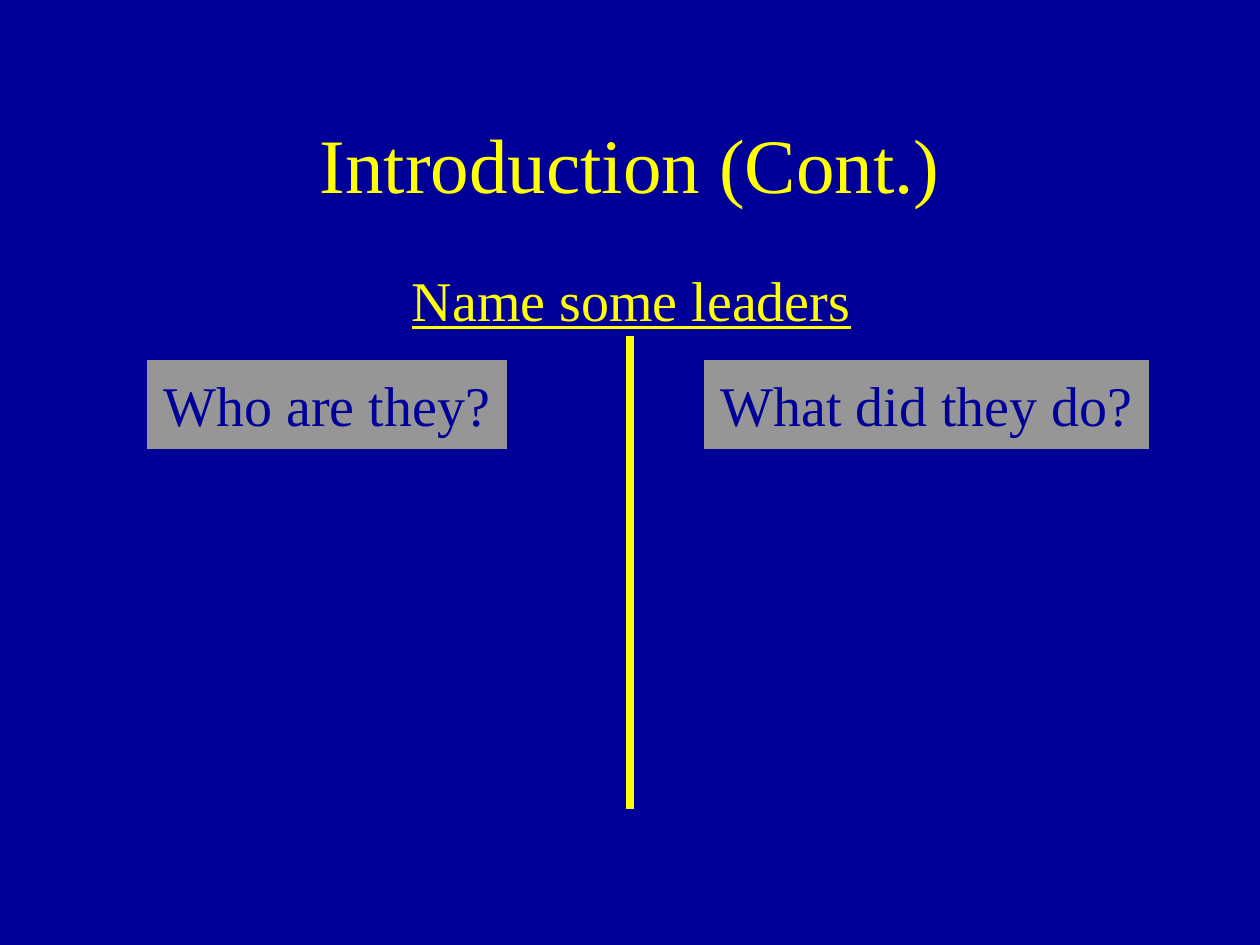
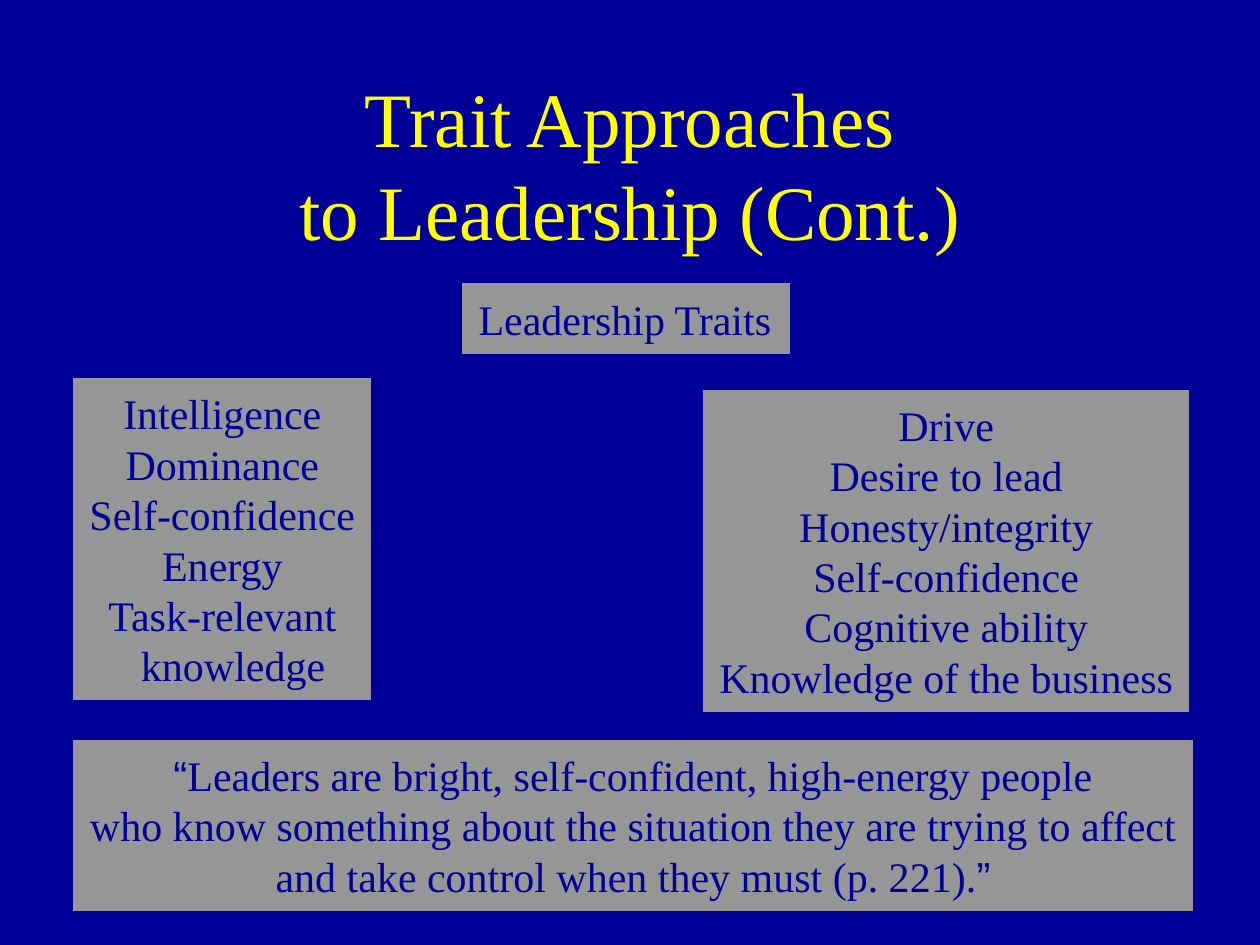
from dataclasses import dataclass
from itertools import groupby
from typing import Any

from lxml import etree
from pptx import Presentation
from pptx.dml.color import RGBColor
from pptx.enum.shapes import MSO_CONNECTOR, MSO_SHAPE
from pptx.enum.text import MSO_ANCHOR, MSO_AUTO_SIZE, PP_ALIGN
from pptx.oxml.ns import qn
from pptx.util import Inches, Pt

NAVY = RGBColor(0x00, 0x00, 0x99)
YELLOW = RGBColor(0xFF, 0xFF, 0x00)
GRAY = RGBColor(0x96, 0x96, 0x96)

BODY_FONT = "Times New Roman"
QUOTE_FONT = "Arial"
QUOTE_MARKS = "“”"

CENTER = PP_ALIGN.CENTER
LEFT = PP_ALIGN.LEFT
RECTANGLE = MSO_SHAPE.RECTANGLE
STRAIGHT = MSO_CONNECTOR.STRAIGHT
TITLE_ONLY = 5

TITLE_PLACE = {
    "left": Inches(0.75),
    "top": Inches(0.67),
    "width": Inches(8.5),
    "height": Inches(1.25),
}
FRAME = {
    "margin_left": Inches(0.1),
    "margin_right": Inches(0.1),
    "margin_top": Inches(0.05),
    "margin_bottom": Inches(0.05),
    "auto_size": MSO_AUTO_SIZE.NONE,
    "word_wrap": True,
}
TITLE_FRAME = FRAME | {"vertical_anchor": MSO_ANCHOR.MIDDLE}
TOP_FRAME = FRAME | {"vertical_anchor": MSO_ANCHOR.TOP}
BOX_FRAMES = {
    LEFT: TOP_FRAME | {"margin_right": Inches(0)},
    CENTER: TOP_FRAME | {"margin_left": Inches(0.05), "margin_right": Inches(0.05)},
}


@dataclass(frozen=True)
class Panel:
    left: float
    top: float
    width: float
    height: float
    lines: tuple[str, ...]
    size: int = 24
    alignment: Any = CENTER
    border: float = 4
    indented_line: str = ""


QUESTIONS = (
    Panel(1.2, 2.89, 2.79, 0.64, ("Who are they?",), 32, LEFT, 4.5),
    Panel(5.62, 2.89, 3.47, 0.64, ("What did they do?",), 32, LEFT, 4.5),
)
TRAITS = (
    Panel(0.61, 3.03, 2.31, 2.5,
          ("Intelligence", "Dominance", "Self-confidence", "Energy",
           "Task-relevant", "knowledge"), indented_line="knowledge"),
    Panel(5.61, 3.12, 3.8, 2.5,
          ("Drive", "Desire to lead", "Honesty/integrity", "Self-confidence",
           "Cognitive ability", "Knowledge of the business")),
    Panel(0.61, 5.9, 8.83, 1.3,
          ("“Leaders are bright, self-confident, high-energy people",
           "who know something about the situation they are trying to affect",
           "and take control when they must (p. 221).”")),
    Panel(3.7, 2.28, 2.54, 0.5, ("Leadership Traits",), 24, LEFT, 4.5),
)


def apply_format(target: Any, values: dict[str, Any]) -> None:
    for name, value in values.items():
        setattr(target, name, value)


def format_font(font: Any, size: int, color: RGBColor, **values: Any) -> None:
    apply_format(font, {"name": BODY_FONT, "size": Pt(size)} | values)
    font.color.rgb = color


def format_line(line: Any, color: RGBColor, width: float) -> None:
    line.color.rgb = color
    line.width = Pt(width)


def add_slide(presentation: Any, title: str) -> Any:
    slide = presentation.slides.add_slide(presentation.slide_layouts[TITLE_ONLY])
    shape = slide.shapes.title
    apply_format(shape, TITLE_PLACE)
    shape.text_frame.text = title
    apply_format(shape.text_frame, TITLE_FRAME)
    paragraph = shape.text_frame.paragraphs[0]
    paragraph.alignment = CENTER
    for run in paragraph.runs:
        format_font(run.font, 44, YELLOW)
    return slide


def add_panel(slide: Any, panel: Panel) -> None:
    place = (panel.left, panel.top, panel.width, panel.height)
    shape = slide.shapes.add_shape(RECTANGLE, *map(Inches, place))
    shape.shadow.inherit = False
    shape.fill.solid()
    shape.fill.fore_color.rgb = GRAY
    format_line(shape.line, GRAY, panel.border)
    outline = shape._element.spPr.find(qn("a:ln"))
    etree.SubElement(outline, qn("a:miter"), lim="800000")
    frame = shape.text_frame
    apply_format(frame, BOX_FRAMES[panel.alignment])
    for index, line in enumerate(panel.lines):
        paragraph = frame.add_paragraph() if index else frame.paragraphs[0]
        paragraph.alignment = panel.alignment
        if line == panel.indented_line:
            paragraph._p.get_or_add_pPr().set("marL", str(Inches(0.17)))
        for is_quote, letters in groupby(line, lambda letter: letter in QUOTE_MARKS):
            run = paragraph.add_run()
            run.text = "".join(letters)
            font_name = QUOTE_FONT if is_quote else BODY_FONT
            format_font(run.font, panel.size, NAVY, name=font_name)


def add_heading(slide: Any, text: str) -> None:
    shape = slide.shapes.add_textbox(
        Inches(3.17), Inches(2.06), Inches(3.68), Inches(0.64))
    frame = shape.text_frame
    frame.text = text
    apply_format(frame, BOX_FRAMES[LEFT])
    format_font(frame.paragraphs[0].runs[0].font, 32, YELLOW, underline=True)


def add_divider(slide: Any) -> None:
    divider = slide.shapes.add_connector(
        STRAIGHT, Inches(5), Inches(2.67), Inches(5), Inches(6.42))
    format_line(divider.line, YELLOW, 4.5)
    etree.SubElement(divider._element.spPr, qn("a:effectLst"))


def main() -> None:
    presentation = Presentation()
    apply_format(presentation, {"slide_width": Inches(10), "slide_height": Inches(7.5)})
    background = presentation.slide_master.background.fill
    background.solid()
    background.fore_color.rgb = NAVY

    introduction = add_slide(presentation, "Introduction (Cont.)")
    add_heading(introduction, "Name some leaders")
    for question in QUESTIONS:
        add_panel(introduction, question)
    add_divider(introduction)

    approaches = add_slide(presentation, "Trait Approaches\vto Leadership (Cont.)")
    for trait in TRAITS:
        add_panel(approaches, trait)

    presentation.save("out.pptx")


if __name__ == "__main__":
    main()
